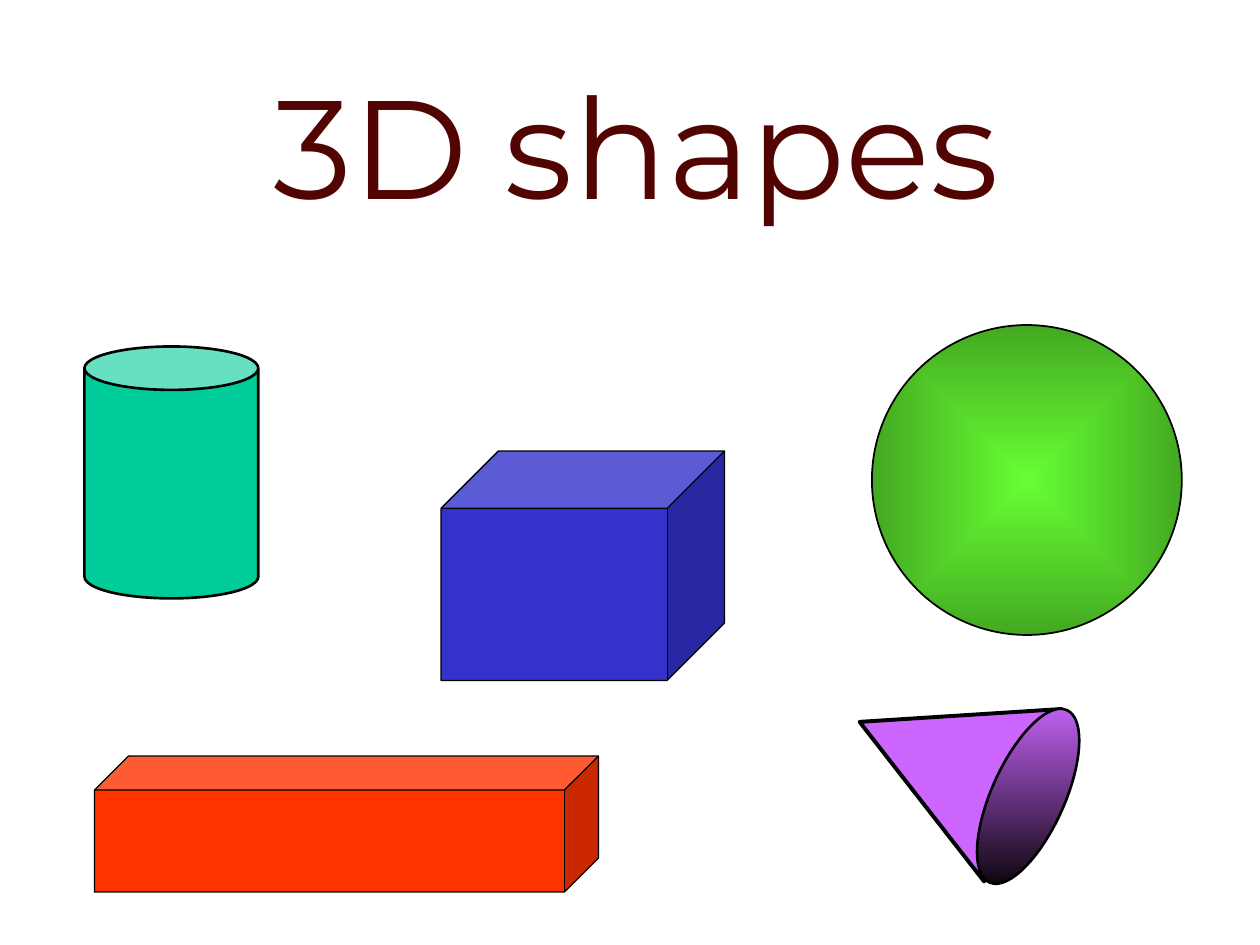
from lxml import etree
from pptx import Presentation
from pptx.dml.color import RGBColor
from pptx.enum import shapes, text
from pptx.oxml.ns import qn
from pptx.util import Inches, Pt

MAROON = RGBColor(0x52, 0x04, 0x02)
BLACK = RGBColor(0x00, 0x00, 0x00)
TEAL = RGBColor(0x00, 0xCC, 0x99)
BLUE = RGBColor(0x33, 0x33, 0xCC)
RED = RGBColor(0xFF, 0x33, 0x00)
LIME = RGBColor(0x66, 0xFF, 0x33)
GREEN = RGBColor(0x44, 0xA9, 0x22)
PURPLE = RGBColor(0xCC, 0x66, 0xFF)
KIND = shapes.MSO_SHAPE


def add_solid(parent, kind, box, color, line_width, rotation=0):
    """Add an outlined preset shape at a box given in inches."""
    shape = parent.add_shape(kind, *map(Inches, box))
    shape.shadow.inherit = False
    shape.rotation = rotation
    shape.fill.solid()
    shape.fill.fore_color.rgb = color
    shape.line.color.rgb = BLACK
    shape.line.width = Pt(line_width)
    return shape


def shade(shape, colors, from_center=False):
    """Fill a shape with two colours, downward or outward from its centre."""
    shape.fill.gradient()
    shape.fill.gradient_angle = 270
    for stop, color, position in zip(shape.fill.gradient_stops, colors, (0, 1)):
        stop.color.rgb = color
        stop.position = position
    gradient = shape.element.spPr.find(qn("a:gradFill"))
    gradient.set("rotWithShape", "0")
    if from_center:
        gradient.remove(gradient.find(qn("a:lin")))
        route = etree.SubElement(gradient, qn("a:path"), path="rect")
        sides = dict.fromkeys("ltrb", "50000")
        etree.SubElement(route, qn("a:fillToRect"), **sides)


def add_title(slide, box):
    """Add the centred slide title."""
    frame = slide.shapes.add_textbox(*map(Inches, box)).text_frame
    frame.word_wrap = True
    paragraph = frame.paragraphs[0]
    paragraph.alignment = text.PP_ALIGN.CENTER
    run = paragraph.add_run()
    run.text = "3D shapes"
    for name, value in {"name": "Montserrat", "size": Pt(80)}.items():
        setattr(run.font, name, value)
    run.font.color.rgb = MAROON


def add_sphere(slide, box):
    """Add the green sphere."""
    sphere = add_solid(slide.shapes, KIND.OVAL, box, LIME, 1)
    shade(sphere, (LIME, GREEN), from_center=True)


def add_cone(slide, left, top):
    """Add the tilted cone as a group of a triangle and its round base."""
    cone = slide.shapes.add_group_shape().shapes
    tilt = 294.2
    add_solid(cone, KIND.ISOSCELES_TRIANGLE, (left, top, 1.5, 1.42), PURPLE, 2.25, tilt)
    base_box = (left + 0.69, top + 0.72, 1.5, 0.58)
    base = add_solid(cone, KIND.OVAL, base_box, PURPLE, 1.5, tilt)
    shade(base, (PURPLE, BLACK))


def main():
    """Build and save the slide."""
    presentation = Presentation()
    presentation.slide_width = Inches(10)
    presentation.slide_height = Inches(7.5)
    slide = presentation.slides.add_slide(presentation.slide_layouts[6])
    add_title(slide, (1.95, 0.42, 6.2, 2.32))
    solids = (
        (KIND.CAN, (0.67, 2.75, 1.38, 2), TEAL, 1.5),
        (KIND.CUBE, (3.5, 3.58, 2.25, 1.82), BLUE, 0.75),
        (KIND.CUBE, (0.75, 6, 4, 1.08), RED, 0.75),
    )
    for kind, box, color, line_width in solids:
        add_solid(slide.shapes, kind, box, color, line_width)
    add_sphere(slide, (6.92, 2.58, 2.46, 2.46))
    add_cone(slide, 6.72, 5.31)
    presentation.save("out.pptx")


if __name__ == "__main__":
    main()
